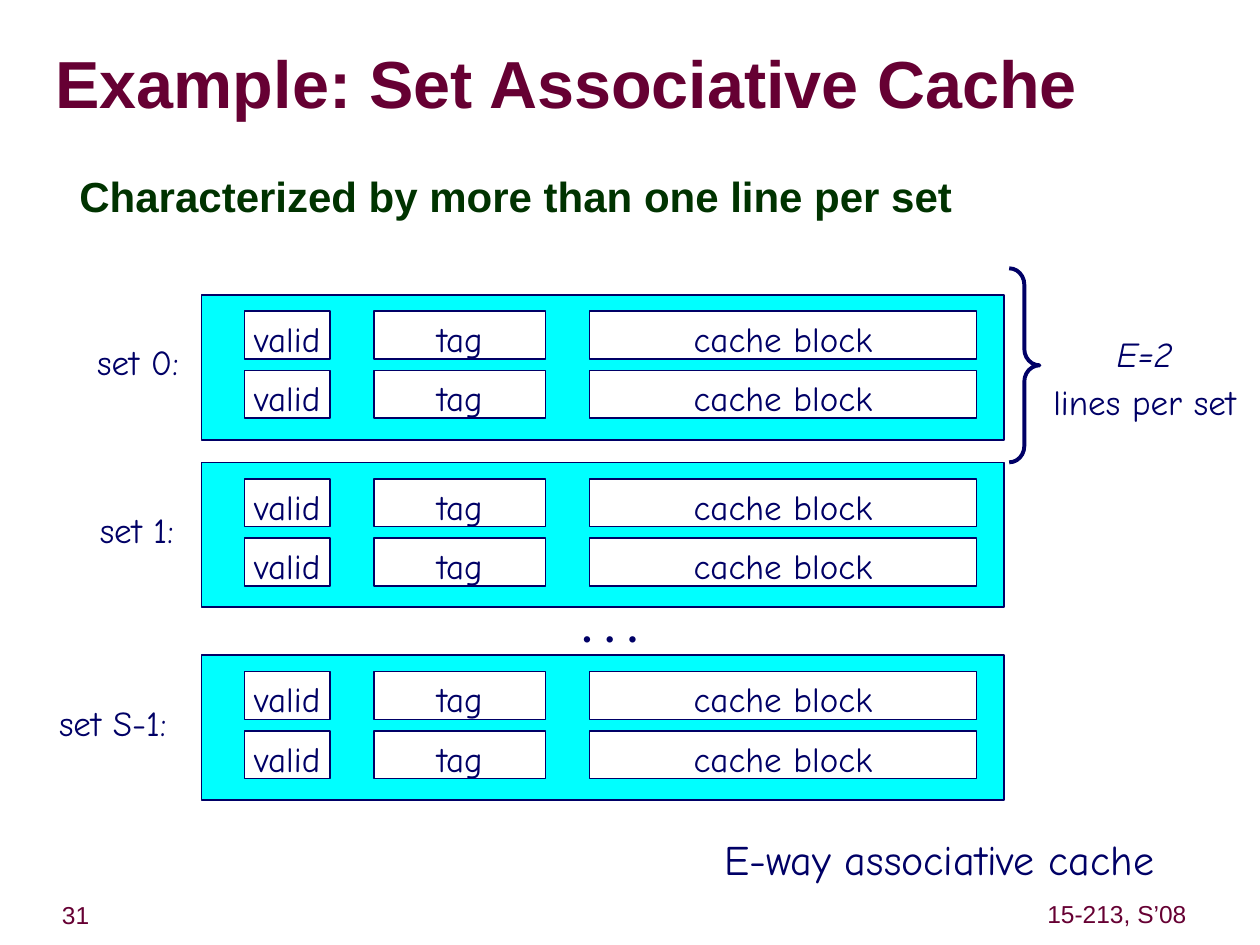
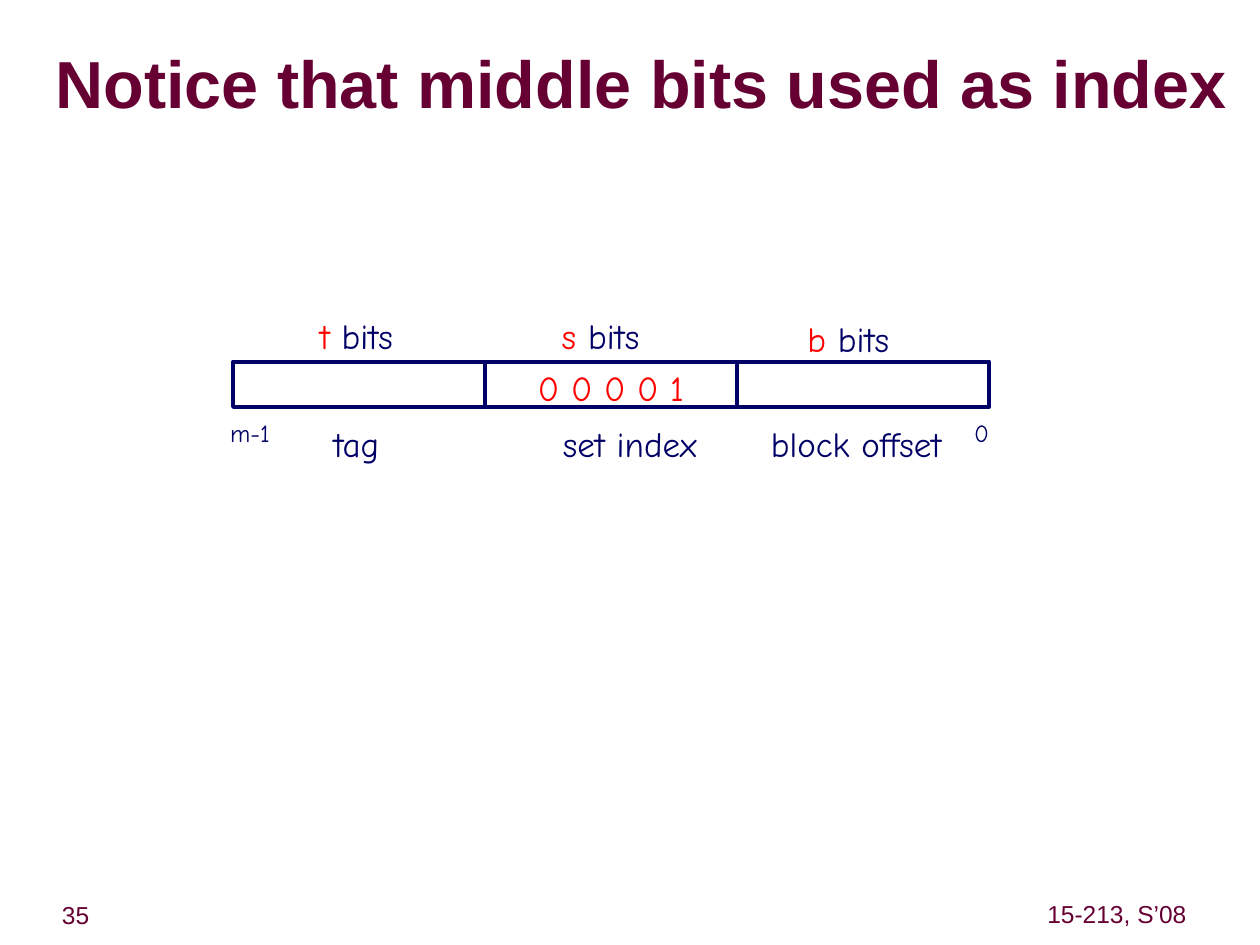
from dataclasses import dataclass

from pptx import Presentation
from pptx.dml.color import RGBColor
from pptx.enum.shapes import MSO_SHAPE
from pptx.enum.text import MSO_ANCHOR, MSO_AUTO_SIZE, PP_ALIGN
from pptx.oxml.ns import qn
from pptx.util import Inches, Pt

RECTANGLE, RIGHT_BRACE = MSO_SHAPE.RECTANGLE, MSO_SHAPE.RIGHT_BRACE
TOP, MIDDLE = MSO_ANCHOR.TOP, MSO_ANCHOR.MIDDLE
LEFT, CENTER = PP_ALIGN.LEFT, PP_ALIGN.CENTER
NO_RESIZE = MSO_AUTO_SIZE.NONE


@dataclass(frozen=True)
class Theme:
    maroon: RGBColor = RGBColor.from_string("660033")
    green: RGBColor = RGBColor.from_string("003300")
    navy: RGBColor = RGBColor.from_string("000066")
    red: RGBColor = RGBColor.from_string("FF0000")
    cyan: RGBColor = RGBColor.from_string("00FFFF")
    white: RGBColor = RGBColor.from_string("FFFFFF")
    heading_font: str = "Arial"
    drawing_font: str = "Comic Neue"
    title_size: int = 38
    large_size: int = 24
    label_size: int = 20
    small_size: int = 14
    thin_line: float = 1
    thick_line: float = 2.25


THEME = Theme()
COURSE = "15-213, S’08"


def place(shape, box):
    shape.left, shape.top, shape.width, shape.height = map(Inches, box)


def format_span(span, size, color, font=THEME.drawing_font, bold=False, italic=False):
    span.font.name = font
    span.font.size = Pt(size)
    span.font.color.rgb = color
    span.font.bold = bold
    span.font.italic = italic


def format_para(para, align, spacing, before=0):
    para.alignment = align
    para.line_spacing = spacing
    para.space_before = Pt(before)


def format_frame(frame, anchor, inset_x=0.1, inset_y=0.05, wrap=False):
    frame.auto_size = NO_RESIZE
    frame.word_wrap = wrap
    frame.vertical_anchor = anchor
    frame.margin_left = frame.margin_right = Inches(inset_x)
    frame.margin_top = frame.margin_bottom = Inches(inset_y)


def write_label(shape, text, size=THEME.label_size, color=THEME.navy, anchor=MIDDLE,
                align=CENTER, spacing=1.16, before=0, inset_x=0.1,
                font=THEME.drawing_font):
    frame = shape.text_frame
    frame.text = text
    format_frame(frame, anchor, inset_x)
    for para in frame.paragraphs:
        format_para(para, align, spacing, before)
        for span in para.runs:
            format_span(span, size, color, font)
    return frame


def add_label(page, box, text, **style):
    return write_label(page.shapes.add_textbox(*map(Inches, box)), text, **style)


def add_outline(page, preset, box, line, fill=None):
    shape = page.shapes.add_shape(preset, *map(Inches, box))
    shape.shadow.inherit = False
    if fill is None:
        shape.fill.background()
    else:
        shape.fill.solid()
        shape.fill.fore_color.rgb = fill
    shape.line.color.rgb = THEME.navy
    shape.line.width = Pt(line)
    return shape


def add_page(deck, layout_name, title, number):
    page = deck.slides.add_slide(deck.slide_layouts.get_by_name(layout_name))
    heading = page.shapes.title
    place(heading, (0.44, 0.27, 9.53, 0.86))
    frame = heading.text_frame
    frame.text = title
    format_frame(frame, MIDDLE, 0, 0, wrap=True)
    format_para(frame.paragraphs[0], LEFT, 0.85)
    format_span(frame.paragraphs[0].runs[0], THEME.title_size, THEME.maroon,
                THEME.heading_font, bold=True)
    for box, text in (((0.08, 7.12, 1.04, 0.31), str(number)),
                      ((8.26, 7.11, 1.21, 0.31), COURSE)):
        add_label(page, box, text, size=THEME.small_size, color=THEME.maroon,
                  spacing=0.88, inset_x=0.05, font=THEME.heading_font)
    return page


def fill_body(page, box, text):
    body = page.placeholders[1]
    place(body, box)
    frame = body.text_frame
    frame.text = text
    format_frame(frame, TOP, wrap=True)
    para = frame.paragraphs[0]
    format_para(para, LEFT, 0.93, 15)
    format_span(para.runs[0], THEME.large_size, THEME.green, THEME.heading_font, bold=True)
    properties = para._p.get_or_add_pPr()
    properties.set("marL", str(Inches(0.35)))
    properties.set("indent", str(Inches(-0.14)))
    properties.append(properties.makeelement(qn("a:buNone"), {}))


def draw_cache_set(page, box, name, name_left, name_width):
    left, top, _, _ = box
    add_outline(page, RECTANGLE, box, THEME.thin_line, THEME.cyan)
    add_label(page, (name_left, top + 0.26, name_width, 0.49), name)
    fields = (("valid", 0.34, 0.68), ("tag", 1.37, 1.36), ("cache block", 3.08, 3.07))
    for row in range(2):
        for text, offset, width in fields:
            field_box = (left + offset, top + 0.13 + 0.47 * row, width, 0.38)
            field = add_outline(page, RECTANGLE, field_box, THEME.thin_line, THEME.white)
            write_label(field, text)


def draw_lines_per_set(page, box):
    left, top, _, height = box
    brace = add_outline(page, RIGHT_BRACE, (left, top, 0.24, height), THEME.thick_line)
    brace.adjustments[0] = 0.54
    frame = add_label(page, (left + 0.25, top + 0.4, 1.65, 0.88), "E=2\nlines per set")
    frame.paragraphs[0].runs[0].font.italic = True


def build_set_associative(deck):
    page = add_page(deck, "Title and Content", "Example: Set Associative Cache", 31)
    fill_body(page, (0.32, 1.34, 9.09, 5.71), "Characterized by more than one line per set")
    cache_sets = (("set 0:", 2.34, 0.67, 0.85), ("set 1:", 3.67, 0.69, 0.79),
                  ("set S-1:", 5.2, 0.37, 1.05))
    for name, top, name_left, name_width in cache_sets:
        draw_cache_set(page, (1.6, top, 6.37, 1.15), name, name_left, name_width)
    add_label(page, (4.33, 4.82, 1.02, 0.38), "• • •")
    draw_lines_per_set(page, (8.01, 2.13, 1.9, 1.54))
    add_label(page, (5.64, 6.66, 3.63, 0.4), "E-way associative cache",
              size=THEME.large_size, anchor=TOP, spacing=0.75, before=15)


def draw_bit_count(page, box, letter):
    frame = add_label(page, box, letter, color=THEME.red, anchor=TOP, align=LEFT)
    span = frame.paragraphs[0].add_run()
    span.text = " bits"
    format_span(span, THEME.label_size, THEME.navy)


def draw_address(page, box):
    left, top, width, height = box
    field_width = width / 3
    bottom = top + height
    fields = (("t", 0.59, -0.48, 0.78, "", "tag", 0.7, 0.57),
              ("s", 2.51, -0.48, 0.81, "0 0 0 0 1", "set index", 2.52, 1.26),
              ("b", 4.46, -0.45, 0.85, "", "block offset", 4.17, 1.55))
    for index, field in enumerate(fields):
        letter, count_x, count_y, count_width, bits, name, name_x, name_width = field
        cell_box = (left + index * field_width, top, field_width, height)
        cell = add_outline(page, RECTANGLE, cell_box, THEME.thick_line)
        if bits:
            write_label(cell, bits, color=THEME.red)
        draw_bit_count(page, (left + count_x, top + count_y, count_width, 0.48), letter)
        add_label(page, (left + name_x, bottom + 0.02, name_width, 0.48), name,
                  anchor=TOP, align=LEFT)
    for text, offset, label_width in (("m-1", -0.12, 0.51), ("0", 5.78, 0.32)):
        add_label(page, (left + offset, bottom, label_width, 0.37), text,
                  size=THEME.small_size)


def build_middle_bits(deck):
    page = add_page(deck, "Title Only", "Notice that middle bits used as index", 35)
    draw_address(page, (1.85, 2.87, 6, 0.36))


def main():
    deck = Presentation()
    deck.slide_width, deck.slide_height = Inches(10), Inches(7.5)
    build_set_associative(deck)
    build_middle_bits(deck)
    deck.save("out.pptx")


if __name__ == "__main__":
    main()
